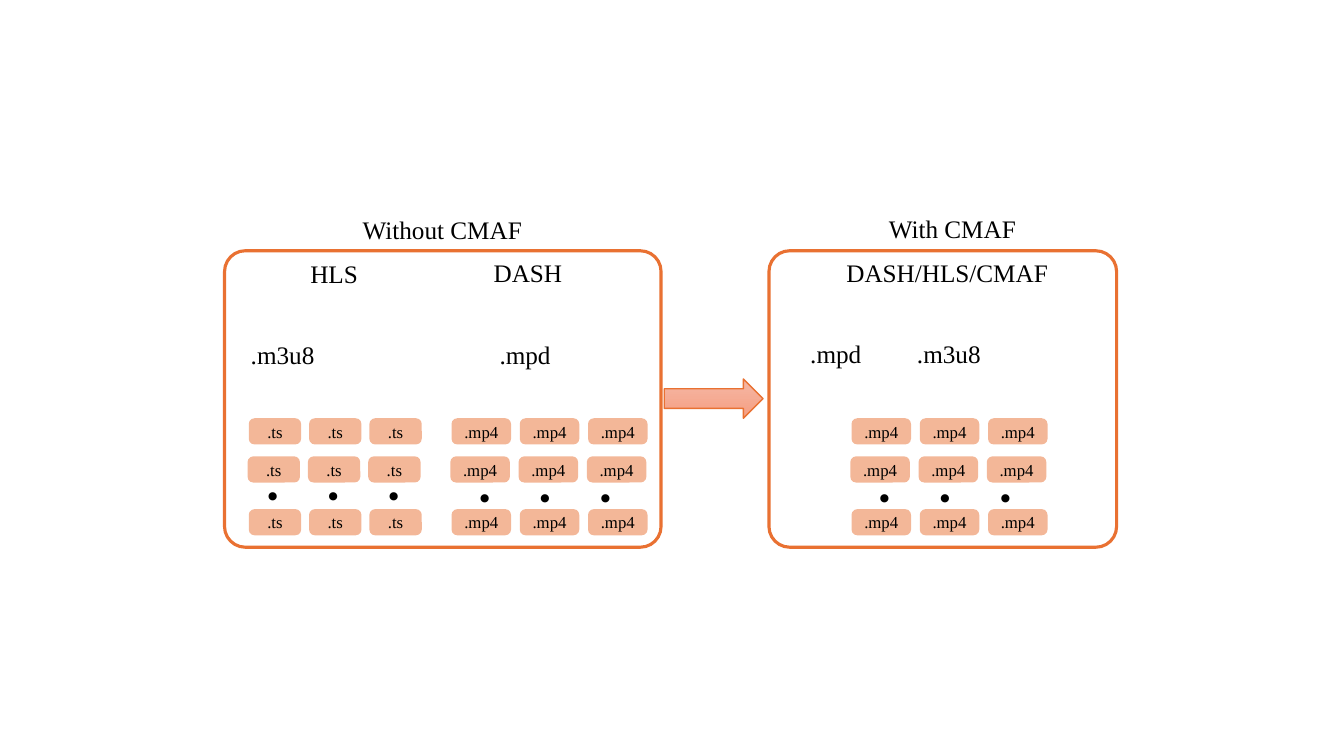
from lxml.etree import SubElement
from pptx import Presentation
from pptx.dml.color import RGBColor
from pptx.enum.shapes import MSO_SHAPE
from pptx.enum.text import MSO_ANCHOR, PP_ALIGN
from pptx.oxml.ns import qn
from pptx.util import Cm, Pt


def color(hex_string):
    return RGBColor.from_string(hex_string)


class Diagram:
    FONT = "Times New Roman"
    INK = "000000"
    ORANGE = "E97132"
    LABEL_H = 1.02
    TILE_H = 0.66

    def __init__(self, slide):
        self.s = slide

    def set_text(self, tf, text, size, align=PP_ALIGN.LEFT, bold=False):
        p = tf.paragraphs[0]
        p.text = text
        p.alignment = align
        p.font.name = self.FONT
        p.font.size = Pt(size)
        p.font.bold = bold
        p.font.color.rgb = color(self.INK)
        return p

    def shape(self, kind, left, top, width, height, line=None):
        sp = self.s.shapes.add_shape(kind, Cm(left), Cm(top), Cm(width), Cm(height))
        sp.shadow.inherit = False
        if line:
            sp.line.color.rgb = color(self.ORANGE)
            sp.line.width = Pt(line)
        else:
            sp.line.fill.background()
        return sp

    def panel(self, left, top, width, height):
        sp = self.shape(MSO_SHAPE.ROUNDED_RECTANGLE, left, top, width, height, 2.25)
        sp.adjustments[0] = 0.07
        sp.fill.solid()
        sp.fill.fore_color.rgb = color("FFFFFF")

    def label(self, text, left, top, width):
        sp = self.s.shapes.add_textbox(Cm(left), Cm(top), Cm(width), Cm(self.LABEL_H))
        sp.text_frame.word_wrap = False
        self.set_text(sp.text_frame, text, 18)

    def tile(self, text, left, top, width):
        sp = self.shape(MSO_SHAPE.ROUNDED_RECTANGLE, left, top, width, self.TILE_H)
        sp.adjustments[0] = 0.22
        sp.fill.solid()
        sp.fill.fore_color.rgb = color(self.ORANGE)
        # Half transparent fill
        rgb = sp.element.spPr.find(qn("a:solidFill"))[0]
        SubElement(rgb, qn("a:alpha"), val="50000")
        sp.text_frame.vertical_anchor = MSO_ANCHOR.MIDDLE
        self.set_text(sp.text_frame, text, 12, PP_ALIGN.CENTER)

    def segments(self, text, left, width, pitch):
        # The middle row sits slightly to the left
        for top, shift in ((10.54, 0), (11.5, -0.03), (12.83, 0)):
            for col in range(3):
                self.tile(text, left + shift + col * pitch, top, width)

    def dots(self, left, top):
        # A narrow box turned sideways wraps to one dot per line
        sp = self.s.shapes.add_textbox(Cm(left), Cm(top), Cm(0.99), Cm(6.4))
        sp.rotation = 90
        tf = sp.text_frame
        tf.word_wrap = True
        tf.margin_top = Cm(1.68)
        p = self.set_text(tf, ". . .", 36, PP_ALIGN.CENTER, bold=True)
        p.line_spacing = Pt(43.2)

    def arrow(self, left, top, width, height):
        sp = self.shape(MSO_SHAPE.RIGHT_ARROW, left, top, width, height, 1)
        sp.fill.gradient()
        sp.fill.gradient_angle = 270
        for stop, shade in zip(sp.fill.gradient_stops, ("F5B8A5", "F59E82")):
            stop.color.rgb = color(shade)


def main():
    prs = Presentation()
    prs.slide_width, prs.slide_height = Cm(33.87), Cm(19.05)
    d = Diagram(prs.slides.add_slide(prs.slide_layouts[6]))

    # Panels and the arrow between them
    d.panel(5.66, 6.32, 11, 7.47)
    d.panel(19.38, 6.32, 8.76, 7.47)
    d.arrow(16.74, 9.55, 2.49, 0.99)

    # Titles, formats and manifest files
    for text, left, top, width in (
        ("Without CMAF", 8.89, 5.28, 4.57),
        ("HLS", 7.57, 6.38, 1.73),
        ("DASH", 12.19, 6.35, 2.26),
        (".m3u8", 6.07, 8.43, 2.18),
        (".mpd", 12.34, 8.43, 1.8),
        ("With CMAF", 22.15, 5.26, 3.76),
        ("DASH/HLS/CMAF", 21.08, 6.35, 5.64),
        (".mpd", 20.17, 8.41, 1.8),
        (".m3u8", 22.86, 8.41, 2.18),
    ):
        d.label(text, left, top, width)

    # Media segments with continuation dots
    for text, left, width, pitch, dots_left, dots_top in (
        (".ts", 6.27, 1.32, 1.52, 9.09, 9.32),
        (".mp4", 11.38, 1.5, 1.72, 14.43, 9.37),
        (".mp4", 21.46, 1.5, 1.72, 24.51, 9.37),
    ):
        d.segments(text, left, width, pitch)
        d.dots(dots_left, dots_top)

    prs.save("out.pptx")


if __name__ == "__main__":
    main()
